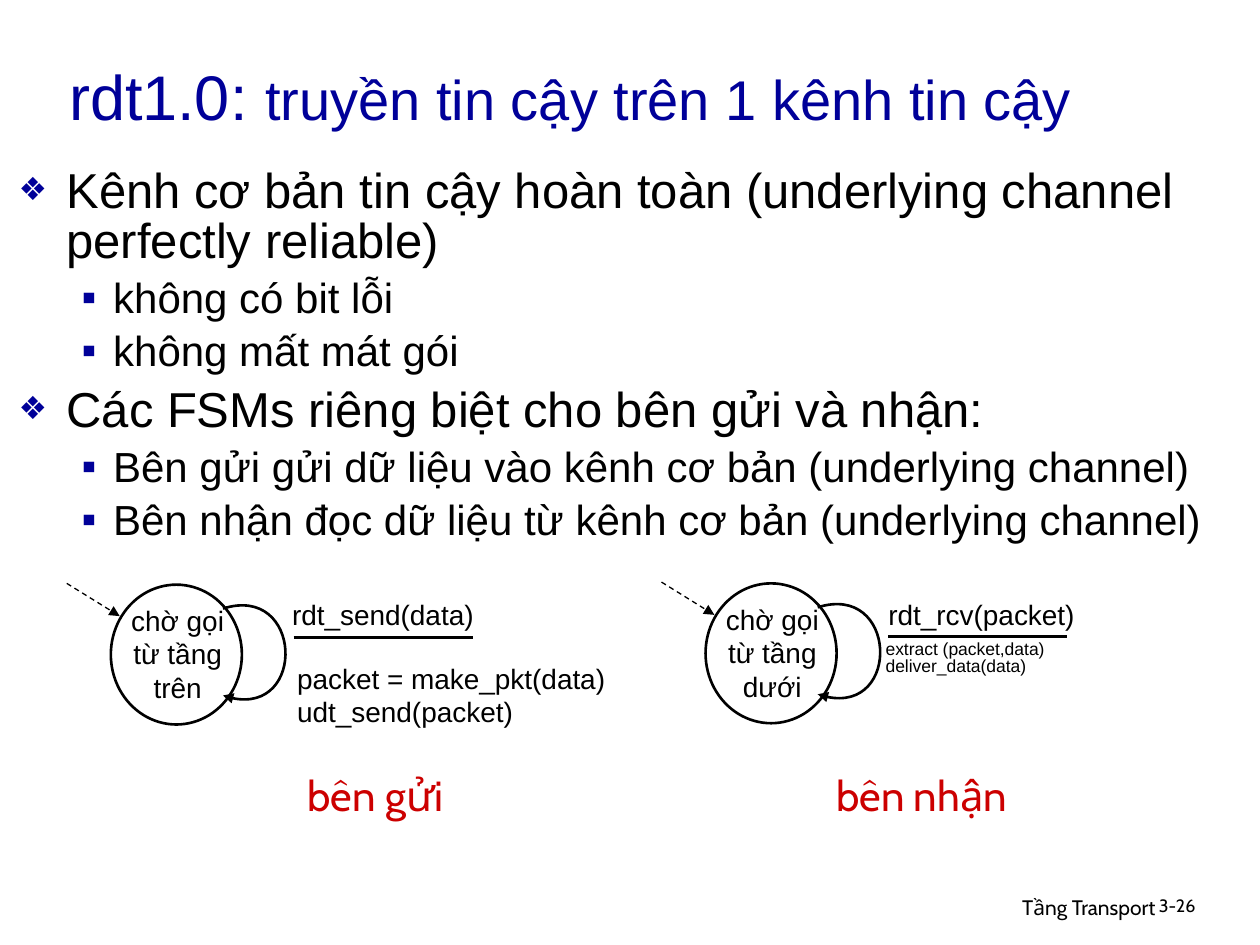
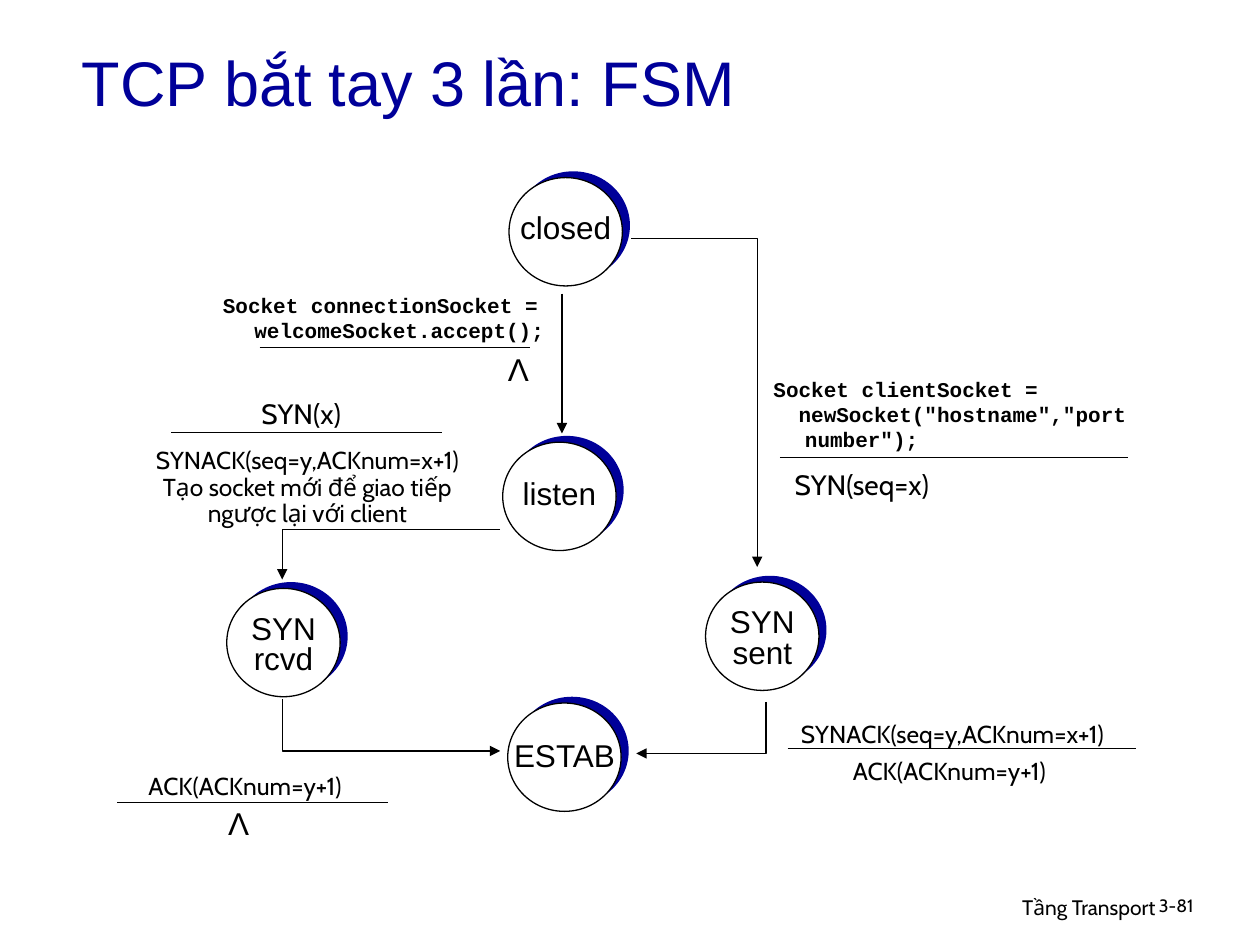
from lxml.etree import SubElement
from pptx import Presentation
from pptx.dml.color import RGBColor
from pptx.enum.dml import MSO_LINE
from pptx.enum.shapes import MSO_CONNECTOR, MSO_SHAPE
from pptx.enum.text import MSO_ANCHOR, PP_ALIGN
from pptx.oxml.ns import qn
from pptx.util import Pt

SCALE = 9144  # EMU in one px, 100 px to the inch
COLORS = {"ink": "000000", "navy": "000099", "red": "CC0000", "paper": "FFFFFF"}
BODY_FONT, NOTE_FONT, CODE_FONT = "Arial", "Cabin", "Courier New"
LEFT, CENTER, RIGHT = PP_ALIGN.LEFT, PP_ALIGN.CENTER, PP_ALIGN.RIGHT

# Bullet style by level: character, size percent, left indent, hang, text size, space before
BULLETS = [("❖", 65, 38, 38, 28, 7), ("▪", 100, 75, 25, 24, 6)]


def px(*lengths):
    return [length * SCALE for length in lengths]


def color(name):
    return RGBColor.from_string(COLORS[name])


# Text

def add_run(paragraph, text, size=16, font=BODY_FONT, ink="ink", bold=False):
    run = paragraph.add_run()
    run.text = text
    run.font.size = Pt(size)
    run.font.name = font
    run.font.bold = bold
    run.font.color.rgb = color(ink)


def set_indent(paragraph, left, hang):
    properties = paragraph._p.get_or_add_pPr()
    properties.set("marL", str(left * SCALE))
    properties.set("indent", str(-hang * SCALE))
    return properties


def add_text(slide, box, *lines, align=LEFT, spacing=None, wrap=True,
             anchor=MSO_ANCHOR.TOP, hang=0, **run_format):
    """Each line is one paragraph: a string, or a list of (text, size) runs."""
    frame = slide.shapes.add_textbox(*px(*box)).text_frame
    frame.word_wrap = wrap
    frame.vertical_anchor = anchor
    for number, line in enumerate(lines):
        paragraph = frame.add_paragraph() if number else frame.paragraphs[0]
        paragraph.alignment = align
        if spacing:
            paragraph.line_spacing = spacing
        if hang:
            set_indent(paragraph, hang, hang)
        if isinstance(line, str):
            add_run(paragraph, line, **run_format)
        else:
            for text, size in line:
                add_run(paragraph, text, size=size, **run_format)


def add_bullets(slide, box, items):
    frame = slide.shapes.add_textbox(*px(*box)).text_frame
    frame.word_wrap = True
    for number, (level, text) in enumerate(items):
        character, percent, left, hang, size, before = BULLETS[level]
        paragraph = frame.add_paragraph() if number else frame.paragraphs[0]
        paragraph.level = level
        paragraph.line_spacing = 0.85
        paragraph.space_before = Pt(before if number else 0)
        properties = set_indent(paragraph, left, hang)
        bullet_color = SubElement(properties, qn("a:buClr"))
        SubElement(bullet_color, qn("a:srgbClr"), val=COLORS["navy"])
        SubElement(properties, qn("a:buSzPct"), val=str(percent * 1000))
        SubElement(properties, qn("a:buFont"), typeface=BODY_FONT)
        SubElement(properties, qn("a:buChar"), char=character)
        add_run(paragraph, text, size=size)


# Lines and shapes

def set_line(shape, width, arrow=False, dashed=False):
    shape.line.color.rgb = color("ink")
    shape.line.width = Pt(width)
    if dashed:
        shape.line.dash_style = MSO_LINE.DASH
    if arrow:
        outline = shape._element.spPr.find(qn("a:ln"))
        SubElement(outline, qn("a:tailEnd"), type="triangle")


def add_line(slide, start, end, width=0.75, **line_format):
    connector = slide.shapes.add_connector(MSO_CONNECTOR.STRAIGHT, *px(*start, *end))
    set_line(connector, width, **line_format)
    SubElement(connector._element.spPr, qn("a:effectLst"))


def add_rule(slide, left, top, length, width=0.75):
    add_line(slide, (left, top), (left + length, top), width)


def add_path(slide, points, width=0.75):
    builder = slide.shapes.build_freeform(*points[0], scale=SCALE)
    builder.add_line_segments(points[1:], close=False)
    shape = builder.convert_to_shape()
    shape.shadow.inherit = False
    shape.fill.background()
    set_line(shape, width, arrow=True)
    return shape


def add_curve(slide, points, width):
    """Draw one cubic curve: start, two control points, end."""
    path = add_path(slide, points, width)._element.find(".//" + qn("a:path"))
    curve = SubElement(path, qn("a:cubicBezTo"))
    for segment in path.findall(qn("a:lnTo")):
        curve.append(segment[0])
        path.remove(segment)


def add_circle(shapes, box, fill, line_width=0):
    circle = shapes.add_shape(MSO_SHAPE.OVAL, *px(*box))
    circle.shadow.inherit = False
    circle.fill.solid()
    circle.fill.fore_color.rgb = color(fill)
    if line_width:
        set_line(circle, line_width)
    else:
        circle.line.fill.background()


# State machine parts

def add_waiting_state(slide, left, top, label):
    """A circle with an entry arrow, a loop back to itself and an event rule."""
    add_circle(slide.shapes, (left, top, 104, 111), "paper", 1.5)
    add_text(slide, (left - 7, top + 10, 120, 100), label, align=CENTER)
    loop = [(89, 19), (152, -1), (156, 111), (89, 88)]
    add_curve(slide, [(left + x, top + y) for x, y in loop], 1.5)
    add_rule(slide, left + 145, top + 42, 142, 1.5)
    add_line(slide, (left - 35, top - 1), (left + 7, top + 25), arrow=True, dashed=True)


def add_state(slide, left, top, *label, drop=19, spacing=None):
    group = slide.shapes.add_group_shape()
    add_circle(group.shapes, (left + 6, top - 5, 90, 86), "navy")
    add_circle(group.shapes, (left, top, 90, 86), "paper", 0.75)
    add_text(slide, (left - 6, top + drop, 102, 40), *label,
             size=18, align=CENTER, spacing=spacing, wrap=False)


def add_message(slide, box, *lines, size=14, spacing=0.9):
    add_text(slide, box, *lines, size=size, font=NOTE_FONT,
             align=CENTER, spacing=spacing, wrap=False)


def add_lambda(slide, left, top):
    add_text(slide, (left, top, 37, 40), "Λ", size=18, align=CENTER, wrap=False)


# Slides

def add_slide(presentation, title, title_box, page):
    slide = presentation.slides.add_slide(presentation.slide_layouts[6])
    add_text(slide, (610, 705, 317, 31), "Tầng Transport",
             size=12, font=NOTE_FONT, align=RIGHT)
    add_text(slide, (910, 707, 74, 30), page, size=10.2, font=NOTE_FONT, spacing=0.9)
    add_text(slide, title_box, title, ink="navy", anchor=MSO_ANCHOR.MIDDLE)
    return slide


def build_reliable_channel(presentation):
    title = [("rdt1.0: ", 36), ("truyền tin cậy trên 1 kênh tin cậy", 32)]
    slide = add_slide(presentation, title, (45, 21, 875, 110), "3-26")
    add_bullets(slide, (5, 129, 976, 330), [
        (0, "Kênh cơ bản tin cậy hoàn toàn (underlying channel perfectly reliable)"),
        (1, "không có bit lỗi"),
        (1, "không mất mát gói"),
        (0, "Các FSMs riêng biệt cho bên gửi và nhận:"),
        (1, "Bên gửi gửi dữ liệu vào kênh cơ bản (underlying channel)"),
        (1, "Bên nhận đọc dữ liệu từ kênh cơ bản (underlying channel)"),
    ])

    # Sender
    add_waiting_state(slide, 88, 464, "chờ gọi từ tầng trên")
    add_text(slide, (222, 469, 247, 47), "rdt_send(data)")
    add_text(slide, (226, 520, 293, 65), "packet = make_pkt(data)", "udt_send(packet)")

    # Receiver
    add_waiting_state(slide, 560, 463, "chờ gọi từ tầng dưới")
    add_text(slide, (695, 469, 168, 37), "rdt_rcv(packet)", align=CENTER, wrap=False)
    add_text(slide, (693, 505, 272, 47), "extract (packet,data)", "deliver_data(data)",
             size=10, spacing=0.8)

    for left, width, side in [(228, 140, "bên gửi"), (647, 169, "bên nhận")]:
        add_text(slide, (left, 606, width, 50), side, size=24, font=NOTE_FONT,
                 ink="red", align=CENTER, wrap=False)


def build_handshake(presentation):
    slide = add_slide(presentation, [("TCP bắt tay 3 lần: FSM", 36)],
                      (55, 18, 761, 93), "3-81")

    # States
    add_state(slide, 404, 141, "closed")
    add_state(slide, 399, 351, "listen", drop=20)
    add_state(slide, 180, 467, "SYN", "rcvd", drop=17, spacing=0.8)
    add_state(slide, 560, 462, "SYN", "sent", drop=17, spacing=0.8)
    add_state(slide, 403, 558, "ESTAB", drop=27, spacing=0.8)

    # Transitions
    add_line(slide, (446, 233), (446, 344), arrow=True)
    for points in [
        [(501, 189), (601, 189), (601, 450)],
        [(397, 420), (224, 420), (224, 460)],
        [(224, 555), (224, 596), (397, 596)],
        [(608, 557), (608, 598), (505, 598)],
    ]:
        add_path(slide, points)

    # Rules between event and action
    for left, top, length in [(206, 276, 215), (136, 343, 215), (93, 637, 215),
                              (619, 363, 276), (625, 594, 277)]:
        add_rule(slide, left, top, length)

    # Socket calls
    code = {"size": 12, "font": CODE_FONT, "bold": True, "hang": 25}
    add_text(slide, (167, 227, 282, 50),
             "Socket connectionSocket = welcomeSocket.accept();", **code)
    add_text(slide, (604, 294, 316, 70), "Socket clientSocket =",
             '  newSocket("hostname","port number");', **code)

    # Messages
    add_lambda(slide, 393, 273)
    add_lambda(slide, 171, 633)
    add_message(slide, (196, 310, 86, 37), "SYN(x)", size=16, spacing=None)
    add_message(slide, (616, 366, 136, 37), "SYN(seq=x)", size=16, spacing=None)
    add_message(slide, (101, 351, 286, 73), "SYNACK(seq=y,ACKnum=x+1)",
                "Tạo socket mới để giao tiếp", "ngược lại với client")
    add_message(slide, (613, 568, 286, 52), "SYNACK(seq=y,ACKnum=x+1)")
    add_message(slide, (658, 598, 191, 52), "ACK(ACKnum=y+1)")
    add_message(slide, (99, 610, 191, 52), "ACK(ACKnum=y+1)")


def main():
    presentation = Presentation()
    presentation.slide_width, presentation.slide_height = px(1000, 750)
    build_reliable_channel(presentation)
    build_handshake(presentation)
    presentation.save("out.pptx")


if __name__ == "__main__":
    main()
